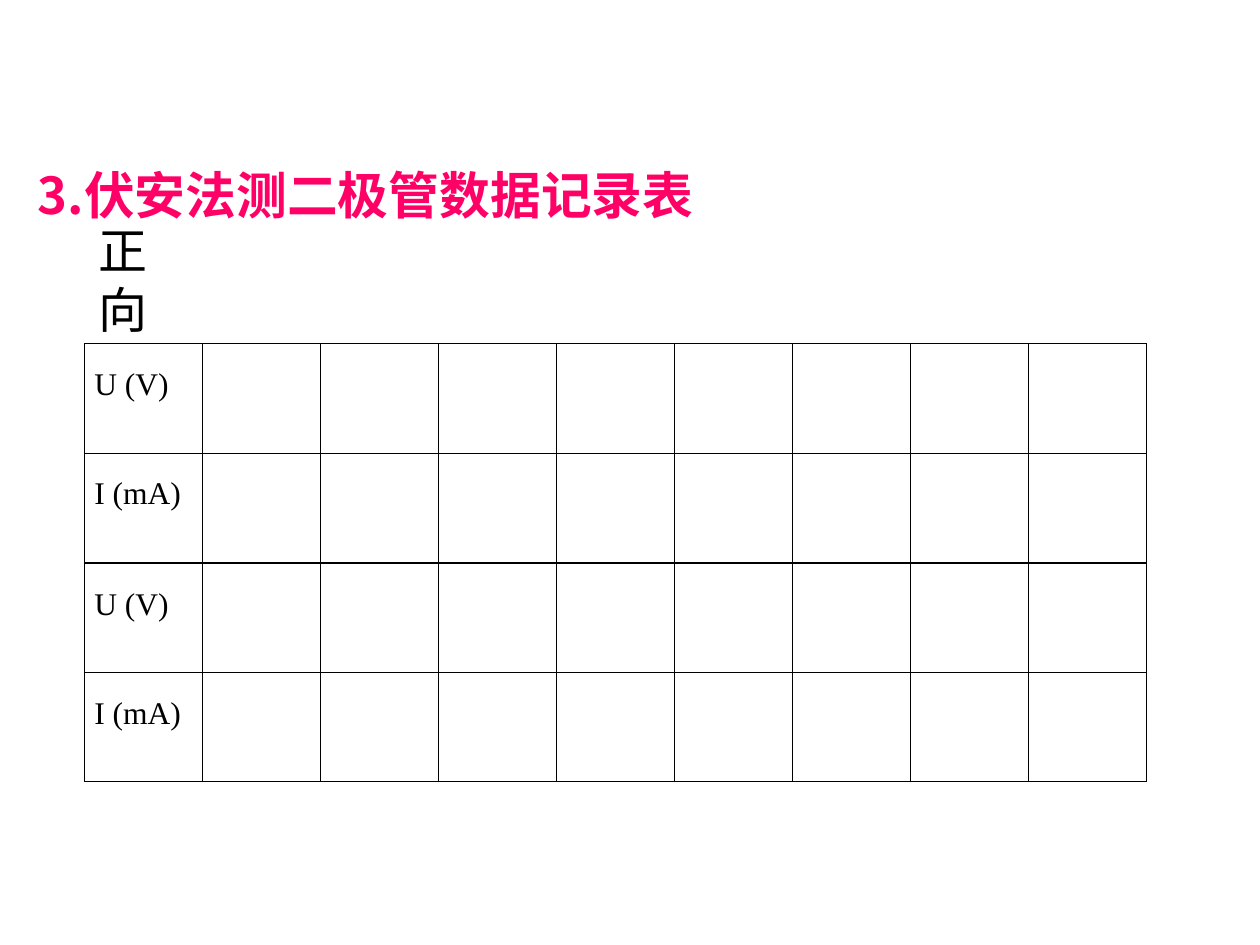
"""Build the slide with blank record tables for the diode measurement."""
import pptx
import pptx.dml.color
import pptx.enum.text
import pptx.oxml
import pptx.oxml.ns
import pptx.util
from pptx.util import Cm, Pt

ANCHOR = pptx.enum.text.MSO_ANCHOR
HEADS = [
    ("3.伏安法测二极管数据记录表", (0.51, 3.99, 22.86, 0.66),
     {"name": "Noto Sans CJK JP", "size": Pt(29), "bold": True}, "FF0066",
     {"word_wrap": True, "vertical_anchor": ANCHOR.BOTTOM}),
    ("正向", (1.73, 4.32, 2.46, 1.45),
     {"name": "Calibri", "size": Pt(28)}, "000000", {"word_wrap": False}),
]
ROWS = ["U (V)", "I (mA)"]
COLS, WIDE, HIGH = 9, 2.38, 2.2
LEFT, TOP, STEP = 1.7, 6.93, 4.42
TABLES = 2
LABEL = {"name": "Times New Roman", "size": Pt(18)}
CELL = {"margin_left": Cm(0.2), "margin_right": Cm(0.2),
        "margin_top": Cm(0.13), "margin_bottom": Cm(0.13)}
PARA = {"alignment": pptx.enum.text.PP_ALIGN.JUSTIFY, "line_spacing": 1.5}
PLAIN = {"first_row": False, "horz_banding": False}
LINE = ('<a:{} %s w="5715"><a:solidFill><a:srgbClr val="000000"/>'
        '</a:solidFill></a:{}>' % pptx.oxml.ns.nsdecls("a"))


def apply(item, vals):
    for key, val in vals.items():
        setattr(item, key, val)


def paint(font, code):
    font.color.rgb = pptx.dml.color.RGBColor.from_string(code)


def write(para, text, form, code):
    run = para.add_run()
    run.text = text
    apply(run.font, form)
    paint(run.font, code)


def border(cell):
    props = cell._tc.get_or_add_tcPr()
    for side in ("lnL", "lnR", "lnT", "lnB"):
        props.append(pptx.oxml.parse_xml(LINE.format(side, side)))
    cell.fill.background()


def add_grid(slide, top):
    grid = slide.shapes.add_table(
        len(ROWS), COLS, Cm(LEFT), Cm(top),
        Cm(COLS * WIDE), Cm(len(ROWS) * HIGH)).table
    apply(grid, PLAIN)
    for cell in grid.iter_cells():
        apply(cell, CELL)
        border(cell)
    for num, text in enumerate(ROWS):
        para = grid.cell(num, 0).text_frame.paragraphs[0]
        apply(para, PARA)
        write(para, text, LABEL, "000000")


def main():
    deck = pptx.Presentation()
    apply(deck, {"slide_width": Cm(25.4), "slide_height": Cm(19.05)})
    slide = deck.slides.add_slide(deck.slide_layouts[6])
    for text, place, form, code, frame in HEADS:
        box = slide.shapes.add_textbox(*map(Cm, place)).text_frame
        apply(box, frame)
        write(box.paragraphs[0], text, form, code)
    for num in range(TABLES):
        add_grid(slide, TOP + num * STEP)
    deck.save("out.pptx")


if __name__ == "__main__":
    main()
